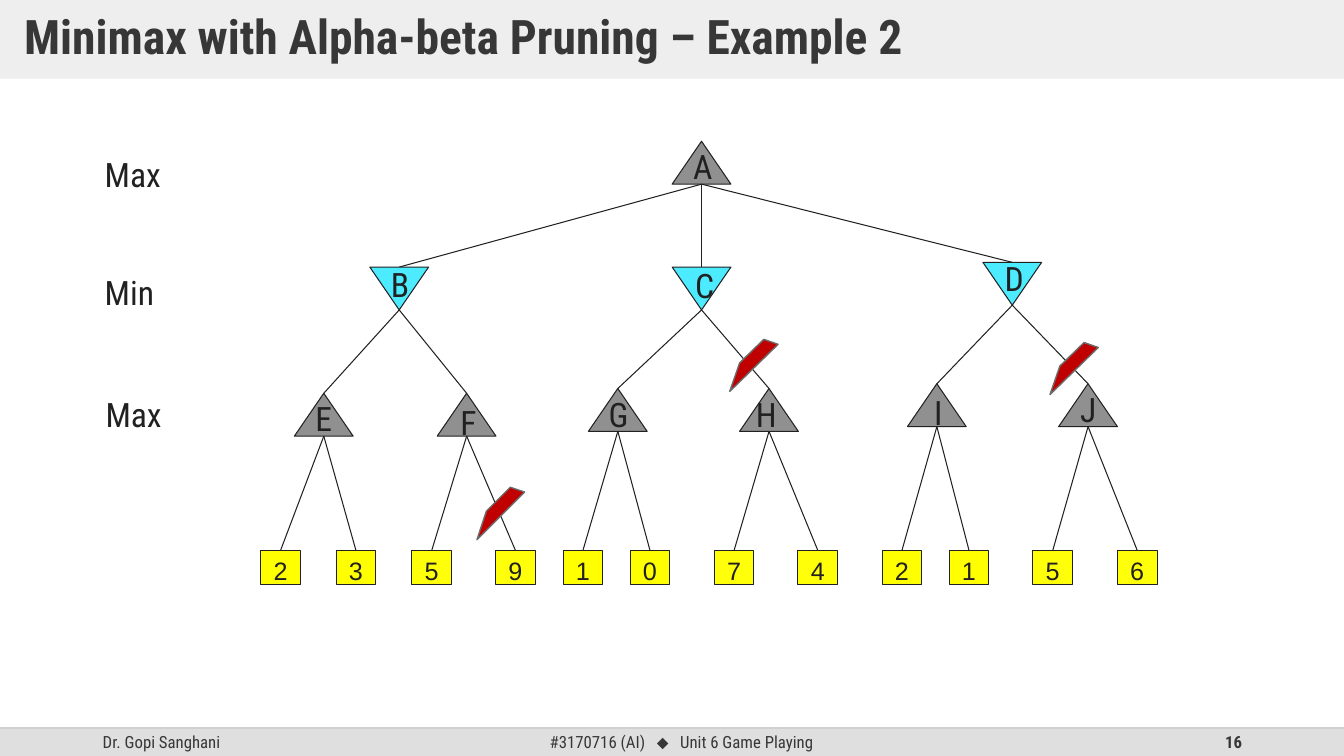
from dataclasses import dataclass

from lxml.etree import SubElement
from pptx import Presentation
from pptx.dml.color import RGBColor as Rgb
from pptx.enum.shapes import MSO_CONNECTOR as Link, MSO_SHAPE as Preset
from pptx.enum.text import MSO_ANCHOR as Anchor, MSO_AUTO_SIZE as AutoSize, PP_ALIGN as Align
from pptx.oxml.ns import qn
from pptx.shapes.autoshape import Shape
from pptx.shapes.connector import Connector
from pptx.slide import Slide
from pptx.text.text import TextFrame, _Paragraph as Paragraph
from pptx.util import Cm, Pt


@dataclass(frozen=True)
class Theme:
    ink: str = "212121"
    heading: str = "373737"
    band: str = "DFDFDF"
    rule: str = "BFBFBF"
    max_fill: str = "909090"
    min_fill: str = "4CEBFF"
    leaf_fill: str = "FFFF00"
    cut_fill: str = "C00000"
    cut_line: str = "6B6B6B"
    font: str = "Roboto Condensed"
    leaf_font: str = "Arial"
    title_size: float = 34
    node_size: float = 24
    leaf_size: float = 18
    footer_size: float = 12
    edge: float = 0.75
    border: float = 1


@dataclass(frozen=True)
class Leaf:
    value: str
    x: float


@dataclass(frozen=True)
class Node:
    name: str
    x: float
    top: float
    label_left: float
    label_top: float
    children: str = ""
    leaves: tuple[Leaf, ...] = ()
    leaf_alpha: int = 100


@dataclass(frozen=True)
class Level:
    name: str
    left: float
    top: float


@dataclass(frozen=True)
class Cut:
    left: float
    top: float
    angle: float


THEME = Theme()
PAGE_WIDTH, PAGE_HEIGHT = 33.87, 19.05
FOOTER_TOP, FOOTER_HEIGHT = 18.34, 0.71
NODE_WIDTH, NODE_HEIGHT = 1.48, 1.08
LEAF_WIDTH, LEAF_HEIGHT, LEAF_TOP = 1.0, 0.85, 13.87
CUT_WIDTH, CUT_HEIGHT = 1.52, 0.76
LABEL_HEIGHT = 1.28

NODES = (
    Node("A", 17.68, 3.56, 17.22, 3.56, "BCD"),
    Node("B", 10.06, 6.73, 9.6, 6.53, "EF"),
    Node("C", 17.68, 6.73, 17.27, 6.55, "GH"),
    Node("D", 25.51, 6.61, 25.07, 6.38, "IJ"),
    Node("E", 8.16, 9.91, 7.7, 9.91, leaves=(Leaf("2", 7.07), Leaf("3", 8.97))),
    Node("F", 11.76, 9.91, 11.35, 10.0, "", (Leaf("5", 10.88), Leaf("9", 12.99)), 96),
    Node("G", 15.57, 9.79, 15.09, 9.8, leaves=(Leaf("1", 14.69), Leaf("0", 16.38))),
    Node("H", 19.38, 9.79, 18.8, 9.8, "", (Leaf("7", 18.5), Leaf("4", 20.61)), 96),
    Node("I", 23.61, 9.67, 23.29, 9.75, leaves=(Leaf("2", 22.73), Leaf("1", 24.42))),
    Node("J", 27.42, 9.67, 26.97, 9.68, "", (Leaf("5", 26.53), Leaf("6", 28.66)), 96),
)
MIN_NODES = "BCD"
LEVELS = (Level("Max", 2.39, 3.76), Level("Min", 2.39, 6.73), Level("Max", 2.41, 9.8))
CUTS = (Cut(11.86, 12.62, 288.4), Cut(18.24, 8.89, 289.2), Cut(26.31, 8.97, 289.2))


def set_alpha(item: Shape | Connector, percent: int) -> None:
    color = next(item.element.iter(qn("a:srgbClr")))
    SubElement(color, qn("a:alpha"), val=str(percent * 1000))


def style(para: Paragraph, size: float, color: str, font: str = THEME.font,
          bold: bool = False, align: Align = Align.LEFT) -> None:
    para.alignment = align
    para.font.name = font
    para.font.size = Pt(size)
    para.font.bold = bold
    para.font.color.rgb = Rgb.from_string(color)


def add_block(page: Slide, preset: Preset, left: float, top: float, width: float,
              height: float, fill: str, line: str = "", weight: float = THEME.edge) -> Shape:
    block = page.shapes.add_shape(preset, Cm(left), Cm(top), Cm(width), Cm(height))
    block.shadow.inherit = False
    block.fill.solid()
    block.fill.fore_color.rgb = Rgb.from_string(fill)
    if line:
        block.line.color.rgb = Rgb.from_string(line)
        block.line.width = Pt(weight)
    else:
        block.line.fill.background()
    return block


def add_line(page: Slide, x1: float, y1: float, x2: float, y2: float,
             color: str = THEME.ink, weight: float = THEME.edge) -> Connector:
    line = page.shapes.add_connector(Link.STRAIGHT, Cm(x1), Cm(y1), Cm(x2), Cm(y2))
    line.line.color.rgb = Rgb.from_string(color)
    line.line.width = Pt(weight)
    SubElement(line.element.spPr, qn("a:effectLst"))
    return line


def add_box(page: Slide, left: float, top: float, width: float, height: float) -> TextFrame:
    box = page.shapes.add_textbox(Cm(left), Cm(top), Cm(width), Cm(height))
    box.text_frame.word_wrap = True
    return box.text_frame


def add_label(page: Slide, text: str, left: float, top: float, width: float) -> None:
    para = add_box(page, left, top, width, LABEL_HEIGHT).paragraphs[0]
    para.text = text
    style(para, THEME.node_size, THEME.ink)


def add_footer_text(page: Slide, spans: tuple[str, ...], left: float, width: float,
                    align: Align, bold: bool = False) -> None:
    frame = add_box(page, left, FOOTER_TOP, width, FOOTER_HEIGHT)
    frame.vertical_anchor = Anchor.MIDDLE
    para = frame.paragraphs[0]
    style(para, THEME.footer_size, THEME.heading, bold=bold, align=align)
    for text in spans:
        span = para.add_run()
        span.text = text
        if text == "⬥":
            span.font.name = THEME.leaf_font
        elif text == " ":
            span.font.element.set("spc", "550") if hasattr(span.font, "element") else \
                span._r.get_or_add_rPr().set("spc", "550")


def add_footer(page: Slide) -> None:
    add_block(page, Preset.RECTANGLE, 0, FOOTER_TOP, PAGE_WIDTH, FOOTER_HEIGHT, THEME.band)
    add_footer_text(page, ("Dr. Gopi Sanghani",), 2.34, 7.62, Align.LEFT)
    course = ("#3170716 (AI)", " ", "⬥", " ", "Unit 6 Game Playing")
    add_footer_text(page, course, 11.23, 11.89, Align.CENTER)
    add_footer_text(page, ("16",), 23.93, 7.62, Align.RIGHT, bold=True)
    rule = add_line(page, 0, FOOTER_TOP, PAGE_WIDTH, FOOTER_TOP, THEME.rule, THEME.border)
    set_alpha(rule, 70)


def format_title(page: Slide) -> None:
    title = page.shapes.title
    title.left, title.top, title.width, title.height = Cm(0), Cm(0), Cm(PAGE_WIDTH), Cm(1.98)
    title.fill.solid()
    title.fill.fore_color.rgb = Rgb.from_string(THEME.band)
    set_alpha(title, 50)
    frame = title.text_frame
    frame.auto_size = AutoSize.NONE
    frame.word_wrap = True
    frame.vertical_anchor = Anchor.MIDDLE
    frame.margin_left = frame.margin_right = Cm(0.61)
    frame.margin_top = frame.margin_bottom = Cm(0.3)
    para = frame.paragraphs[0]
    para.text = "Minimax with Alpha-beta Pruning – Example 2"
    para.line_spacing = 0.9
    style(para, THEME.title_size, THEME.heading, bold=True)


def add_leaf(page: Slide, leaf: Leaf, alpha: int) -> None:
    block = add_block(page, Preset.RECTANGLE, leaf.x - LEAF_WIDTH / 2, LEAF_TOP,
                      LEAF_WIDTH, LEAF_HEIGHT, THEME.leaf_fill, THEME.ink)
    if alpha < 100:
        set_alpha(block, alpha)
    block.text_frame.vertical_anchor = Anchor.TOP
    para = block.text_frame.paragraphs[0]
    para.text = leaf.value
    style(para, THEME.leaf_size, THEME.ink, THEME.leaf_font, align=Align.CENTER)


def add_node(page: Slide, node: Node, tree: dict[str, Node]) -> None:
    is_min = node.name in MIN_NODES
    block = add_block(page, Preset.ISOSCELES_TRIANGLE, node.x - NODE_WIDTH / 2, node.top, NODE_WIDTH,
                      NODE_HEIGHT, THEME.min_fill if is_min else THEME.max_fill, THEME.ink)
    block.rotation = 180 if is_min else 0
    bottom = node.top + NODE_HEIGHT
    for child in (tree[name] for name in node.children):
        add_line(page, node.x, bottom, child.x, child.top)
    for leaf in node.leaves:
        add_line(page, node.x, bottom, leaf.x, LEAF_TOP)
        add_leaf(page, leaf, node.leaf_alpha)


def add_cut(page: Slide, cut: Cut) -> None:
    block = add_block(page, Preset.DIAGONAL_STRIPE, cut.left, cut.top, CUT_WIDTH, CUT_HEIGHT,
                      THEME.cut_fill, THEME.cut_line, THEME.border)
    block.rotation = cut.angle
    block.element.spPr.find(qn("a:xfrm")).set("flipH", "1")


def main() -> None:
    deck = Presentation()
    deck.slide_width, deck.slide_height = Cm(PAGE_WIDTH), Cm(PAGE_HEIGHT)
    page = deck.slides.add_slide(deck.slide_layouts[5])
    format_title(page)
    add_footer(page)
    tree = {node.name: node for node in NODES}
    for node in NODES:
        add_node(page, node, tree)
    for level in LEVELS:
        add_label(page, level.name, level.left, level.top, 2.44)
    for cut in CUTS:
        add_cut(page, cut)
    for node in NODES:
        add_label(page, node.name, node.label_left, node.label_top, 1.14)
    deck.save("out.pptx")


if __name__ == "__main__":
    main()
